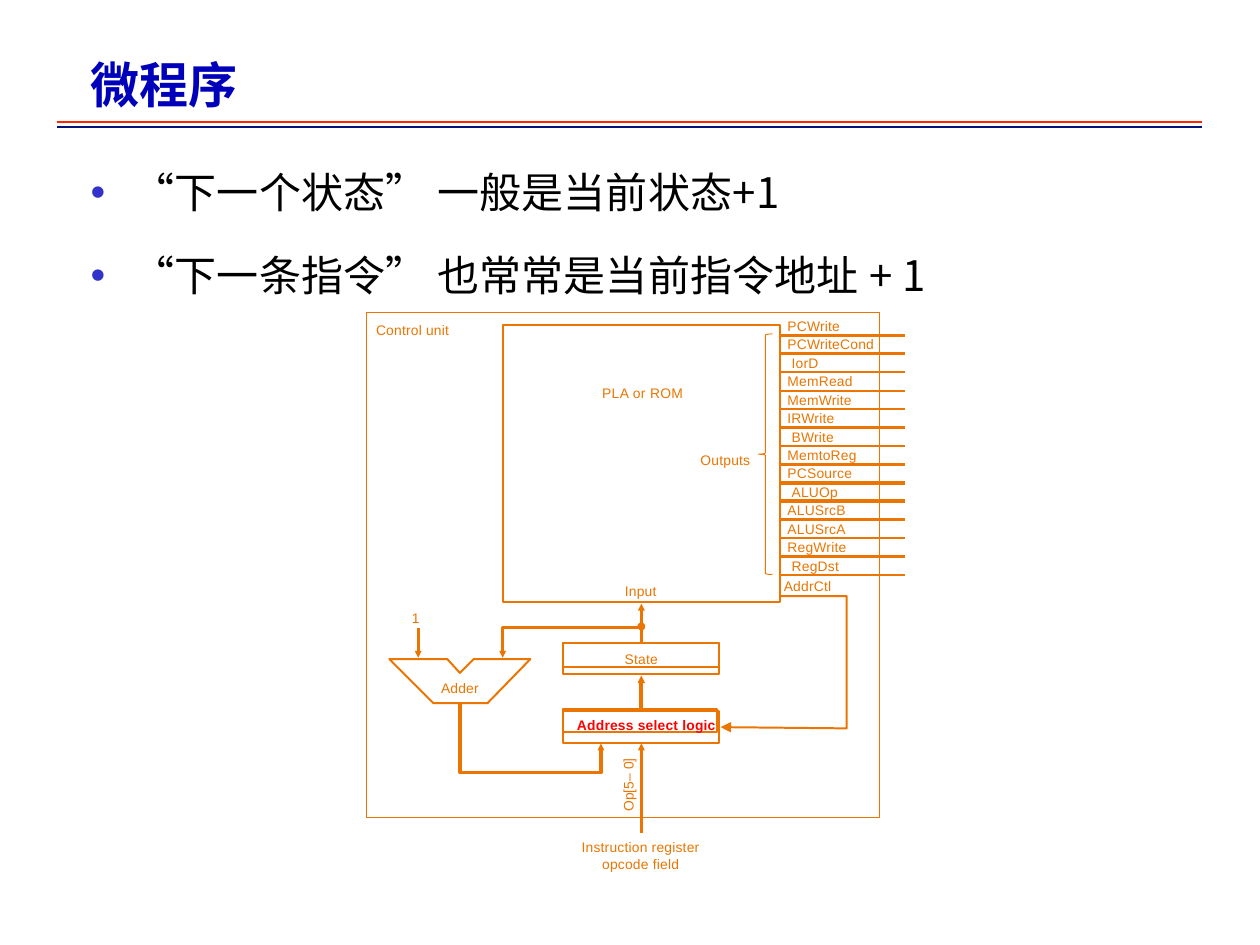
from lxml import etree
from pptx import Presentation
from pptx.dml.color import RGBColor
from pptx.enum.shapes import MSO_CONNECTOR as Connector, MSO_SHAPE as Preset
from pptx.enum.text import MSO_ANCHOR as Anchor, PP_ALIGN as Align
from pptx.oxml.ns import qn
from pptx.util import Pt

ORANGE = "EB7500"
CJK = "Noto Sans CJK SC"


def color(value):
    return RGBColor.from_string(value)


def write(frame, text, size=7.9, font="Arial", ink=ORANGE, bold=False, align=Align.LEFT,
          margins=(0, 1.7), spacing=None, before=0, bullet=None, indent=0, track=10, wrap=False):
    """Fill a text frame; each line of text is one paragraph."""
    frame.word_wrap = wrap
    frame.vertical_anchor = Anchor.TOP
    frame.margin_left, frame.margin_top = map(Pt, margins)
    frame.margin_right = frame.margin_bottom = 0
    for index, line in enumerate(text.split("\n")):
        para = frame.paragraphs[0] if index == 0 else frame.add_paragraph()
        para.alignment = align
        if spacing:
            para.line_spacing = spacing
        if index:
            para.space_before = Pt(before)
        if bullet:
            props = para._p.get_or_add_pPr()
            props.set("marL", str(Pt(indent)))
            props.set("indent", str(-Pt(indent)))
            tint = etree.SubElement(props, qn("a:buClr"))
            etree.SubElement(tint, qn("a:srgbClr"), val=bullet)
            etree.SubElement(props, qn("a:buFont"), typeface="Arial")
            etree.SubElement(props, qn("a:buChar"), char="•")
        run_parts = line.split("\v")
        for part_index, part in enumerate(run_parts):
            if part_index:
                para.add_line_break()
            run = para.add_run()
            run.text = part
            run.font.size, run.font.bold, run.font.name = Pt(size), bold, font
            run.font.color.rgb = color(ink)
            run_props = run._r.get_or_add_rPr()
            run_props.set("spc", str(track))
            etree.SubElement(run_props, qn("a:ea"), typeface=font)


def label(slide, box, text, x, y, width, height=10.8, **look):
    area = slide.shapes.add_textbox(Pt(box[0] + x), Pt(box[1] + y), Pt(width), Pt(height))
    write(area.text_frame, text, **look)
    return area


def stroke(shape, weight, ink=ORANGE, arrow=None):
    shape.line.color.rgb = color(ink)
    shape.line.width = Pt(weight)
    if arrow:
        etree.SubElement(shape.line._get_or_add_ln(), qn("a:tailEnd"),
                         type="triangle", w=arrow, len=arrow)


def line(slide, box, start, end, weight, ink=ORANGE, arrow=None):
    ends = [Pt(box[i % 2] + value) for i, value in enumerate((*start, *end))]
    wire = slide.shapes.add_connector(Connector.STRAIGHT, *ends)
    stroke(wire, weight, ink, arrow)
    etree.SubElement(wire._element.spPr, qn("a:effectLst"))


def outline(slide, box, points, weight, closed=False, arrow=None):
    points = [(Pt(box[0] + x), Pt(box[1] + y)) for x, y in points]
    builder = slide.shapes.build_freeform(*points[0], scale=1.0)
    builder.add_line_segments(points[1:], close=closed)
    shape = builder.convert_to_shape()
    shape.shadow.inherit = False
    shape.fill.background()
    stroke(shape, weight, arrow=arrow)


def block(slide, box, x, y, width, height, weight=1.12, preset=Preset.RECTANGLE):
    shape = slide.shapes.add_shape(preset, Pt(box[0] + x), Pt(box[1] + y), Pt(width), Pt(height))
    shape.shadow.inherit = False
    shape.fill.background()
    stroke(shape, weight)
    return shape


def heading(slide, box):
    label(slide, box, "微程序", 0, 0, 326, 30, size=28, font=CJK, ink="0000BA", bold=True,
          spacing=Pt(29.4), track=0, margins=(0, 1.6))
    # Double rule under the title
    for y, ink in ((36, "FF2600"), (38.9, "011279")):
        line(slide, box, (-19.4, y), (635.1, y), 1, ink)


def points_list(slide, box):
    label(slide, box, "“下一个状态” 一般是当前状态+1\n“下一条指令” 也常常是当前指令地址 + 1",
          0, 0, 560, 91, size=24, font=CJK, ink="000000", margins=(0, 10.2), spacing=1.5,
          before=4.4, bullet="3333CC", indent=24, wrap=True)


def outputs(slide, box):
    """Control signals leaving the right side of the ROM."""
    signals = [("PCWrite", 1.41), ("PCWriteCond", 1.41), ("IorD", 1.12), ("MemRead", 1.12),
               ("MemWrite", 1.12), ("IRWrite", 1.41), ("BWrite", 1.38), ("MemtoReg", 1.41),
               ("PCSource", 2.21), ("ALUOp", 2.21), ("ALUSrcB", 2.21), ("ALUSrcA", 1.41),
               ("RegWrite", 1.41), ("RegDst", 1.38)]
    inset = {"IorD", "BWrite", "ALUOp", "RegDst"}
    pitch = 10.53
    for row, (signal, weight) in enumerate(signals):
        y = row * pitch
        label(slide, box, signal, 6.7 if signal in inset else 4.3, y, 52)
        line(slide, box, (0, y + 11.8), (71.3, y + 11.8), weight)
    label(slide, box, "AddrCtl", 2.2, 148.5, 30)


def control_unit(slide, box):
    width, height = box[2:]
    middle = 157  # shared axis of ROM, state and address logic
    block(slide, box, 0, 0, width, height, 0.55)
    label(slide, box, "Control unit", 5.4, 3.6, 44)

    # PLA or ROM
    block(slide, box, 77.8, 7.2, 158.4, 158.4)
    label(slide, box, "PLA or ROM", 134.6, 39.6, 48, track=20)
    label(slide, box, "Outputs", 190.8, 77.8, 30)
    label(slide, box, "Input", 147.6, 152.6, 20)
    block(slide, box, 223.9, 12.2, 8, 137.5, 0.55, Preset.LEFT_BRACE)
    outputs(slide, (box[0] + 236.2, box[1] + 1.2))

    # State register and address select logic
    block(slide, box, 112.3, 188.6, 89.3, 18)
    state = block(slide, box, 112.3, 188.6, 89.3, 13.7)
    write(state.text_frame, "State", align=Align.CENTER, margins=(0, 4.5))
    block(slide, box, 112.3, 227.5, 89.3, 18.7)
    select = block(slide, box, 112.3, 226.8, 87.8, 13.2)
    write(select.text_frame, "Address select logic", ink="FF0000", bold=True, margins=(7.9, 4))

    # Adder
    outline(slide, box, [(93.6, 198), (61.2, 198), (53.3, 205.9), (46.1, 198), (13, 198),
                         (38.2, 223.2), (69.1, 223.2)], 1.12, closed=True)
    label(slide, box, "Adder", 42.5, 208.1, 24)
    label(slide, box, "1", 25.9, 167.8, 7)

    # Vertical wires
    for x, start, end, weight in ((middle, 188.6, 166.3, 1.95), (middle, 227.5, 207.4, 2.22),
                                  (middle, 297.4, 246.2, 1.95), (29.5, 180, 197.3, 1.94)):
        line(slide, box, (x, start), (x, end), weight, arrow="sm")

    # Bent wires: state to adder, adder to select, AddrCtl to select
    outline(slide, box, [(middle, 180), (77.8, 180), (77.8, 197.3)], 1.94, arrow="sm")
    outline(slide, box, [(53.3, 223.2), (53.3, 262.8), (133.9, 262.8), (133.9, 246.2)],
            1.93, arrow="sm")
    outline(slide, box, [(236.2, 162), (274.3, 162), (274.3, 237.6), (202.3, 236.9)],
            1.13, arrow="med")
    junction = block(slide, box, middle - 2.1, 177.3, 4.2, 4.2, 0.25, Preset.OVAL)
    junction.fill.solid()
    junction.fill.fore_color.rgb = color(ORANGE)

    # Opcode input
    opcode = label(slide, box, "Op[5– 0]", 144.7, 252.7, 9.4, 32.4, margins=(0, 0), track=0)
    opcode.text_frame._txBody.bodyPr.set("vert", "vert270")
    label(slide, box, "Instruction register\vopcode field", 121.7, 298.8, 69.8, 19.4,
          align=Align.CENTER, spacing=1.02)


def main():
    deck = Presentation()
    deck.slide_width, deck.slide_height = Pt(720), Pt(540)
    slide = deck.slides.add_slide(deck.slide_layouts[6])
    heading(slide, (51.8, 33.8))
    points_list(slide, (51.8, 70.6))
    control_unit(slide, (209.5, 178.6, 293, 288.7))
    deck.save("out.pptx")


if __name__ == "__main__":
    main()
